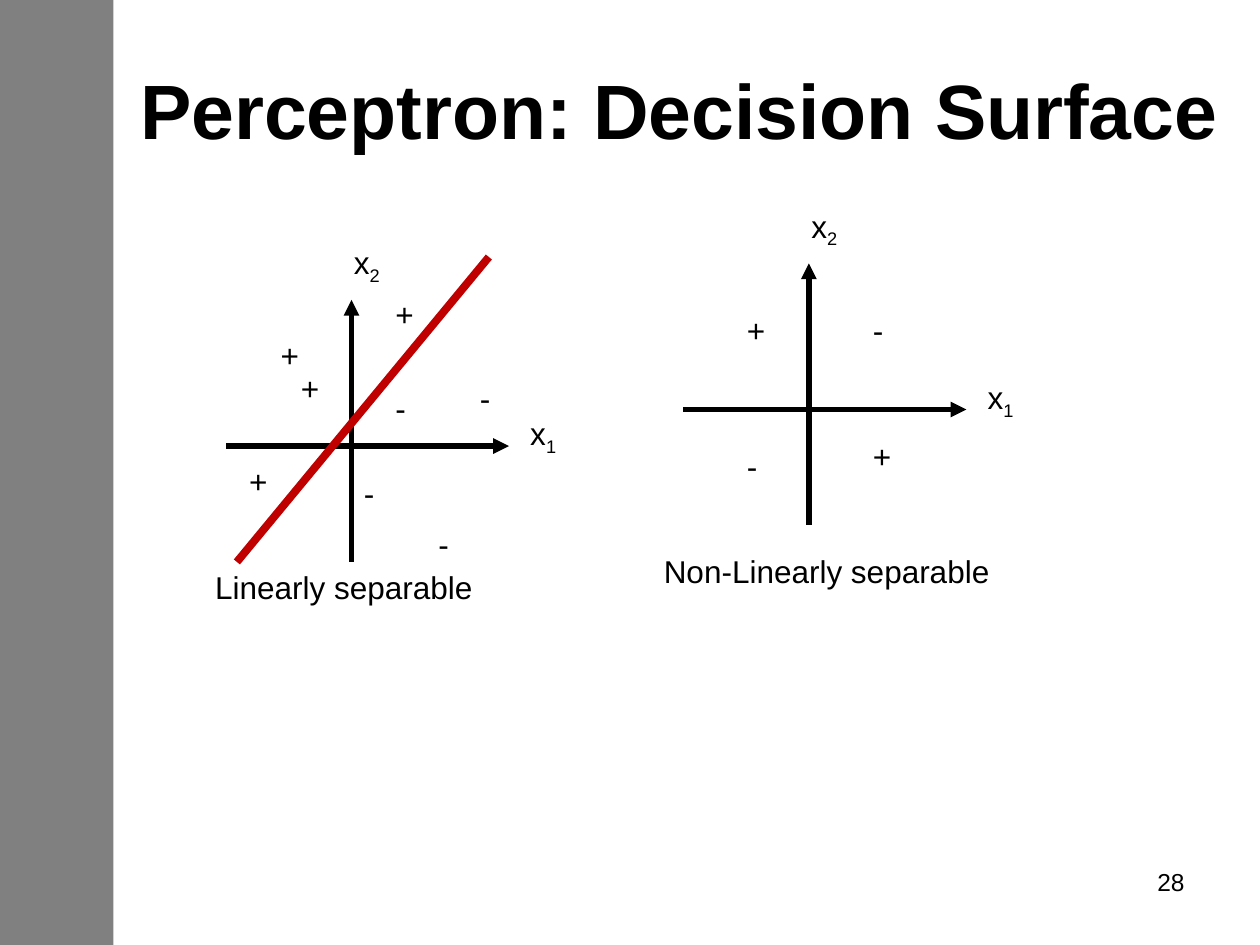
from dataclasses import dataclass

from lxml.etree import SubElement
from pptx import Presentation
from pptx.dml.color import RGBColor
from pptx.enum.shapes import MSO_CONNECTOR, MSO_SHAPE
from pptx.enum.text import MSO_ANCHOR, MSO_AUTO_SIZE, PP_ALIGN
from pptx.oxml.ns import qn
from pptx.util import Inches, Pt

FONT = "Arial"
BLACK = "000000"
GRAY = "808080"
RED = "C00000"
MARK_WIDTHS = {"+": 0.44, "-": 0.32}

Point = tuple[float, float]


@dataclass
class Caption:
    text: str
    position: Point
    size: Point


@dataclass
class Plot:
    origin: Point
    marks: dict[str, list[Point]]
    caption: Caption
    boundary: tuple[Point, Point] | None = None


PLOTS = [
    Plot(
        origin=(2.79, 3.54),
        marks={
            "+": [(3.04, 2.29), (2.29, 2.88), (2.13, 2.62), (1.88, 3.62)],
            "-": [(2.79, 3.71), (3.04, 3.04), (3.38, 4.12), (3.71, 2.96)],
        },
        caption=Caption("Linearly separable", (1.61, 4.46), (2.26, 0.4)),
        boundary=((1.88, 4.46), (3.88, 2.04)),
    ),
    Plot(
        origin=(6.42, 3.25),
        marks={
            "+": [(5.83, 2.42), (6.83, 3.42)],
            "-": [(5.83, 3.5), (6.83, 2.42)],
        },
        caption=Caption("Non-Linearly separable", (5.17, 4.33), (3.57, 0.5)),
    ),
]


def color(value: str) -> RGBColor:
    return RGBColor.from_string(value)


def format_run(run, size: float, bold: bool = False) -> None:
    run.font.name = FONT
    run.font.size = Pt(size)
    run.font.bold = bold
    run.font.color.rgb = color(BLACK)


def add_label(shapes, text: str, position: Point, size: Point, subscript: str = "") -> None:
    box = shapes.add_textbox(*map(Inches, position + size))
    text_frame = box.text_frame
    text_frame.text = text
    text_frame.word_wrap = False
    text_frame.auto_size = MSO_AUTO_SIZE.SHAPE_TO_FIT_TEXT
    paragraph = text_frame.paragraphs[0]
    if subscript:
        run = paragraph.add_run()
        run.text = subscript
        run.font._element.set("baseline", "-25000")
    for run in paragraph.runs:
        format_run(run, 18)


def add_line(shapes, start: Point, end: Point, line_color: str, width: float,
             arrow: bool = False) -> None:
    connector = shapes.add_connector(MSO_CONNECTOR.STRAIGHT, *map(Inches, start + end))
    connector.line.color.rgb = color(line_color)
    connector.line.width = Pt(width)
    if arrow:
        SubElement(connector.line._get_or_add_ln(), qn("a:headEnd"), type="triangle")
    SubElement(connector.element.spPr, qn("a:effectLst"))


def draw_plot(shapes, plot: Plot) -> None:
    x, y = plot.origin

    # Axes, with the arrowhead at the start
    add_line(shapes, (x, y - 1.16), (x, y + 0.92), BLACK, 3, arrow=True)
    add_line(shapes, (x + 1.25, y), (x - 1, y), BLACK, 3, arrow=True)

    # Positive and negative examples
    for mark, positions in plot.marks.items():
        for position in positions:
            add_label(shapes, mark, position, (MARK_WIDTHS[mark], 0.5))

    # Axis names
    add_label(shapes, "x", (x + 1.32, y - 0.3), (0.49, 0.5), subscript="1")
    add_label(shapes, "x", (x - 0.08, y - 1.66), (0.49, 0.5), subscript="2")

    if plot.boundary:
        add_line(shapes, *plot.boundary, RED, 4.5)


def main() -> None:
    presentation = Presentation()
    presentation.slide_width = Inches(10)
    presentation.slide_height = Inches(7.5)
    slide = presentation.slides.add_slide(presentation.slide_layouts[5])
    shapes = slide.shapes

    # Title
    title = shapes.title
    title.left, title.top = Inches(0.79), Inches(0.42)
    title.width, title.height = Inches(9.21), Inches(0.98)
    title.text_frame.text = "Perceptron: Decision Surface"
    title.text_frame.auto_size = MSO_AUTO_SIZE.NONE
    title.text_frame.vertical_anchor = MSO_ANCHOR.MIDDLE
    paragraph = title.text_frame.paragraphs[0]
    paragraph.alignment = PP_ALIGN.CENTER
    paragraph.line_spacing = 0.9
    format_run(paragraph.runs[0], 44, bold=True)

    # Sidebar, behind the title
    sidebar = shapes.add_shape(MSO_SHAPE.RECTANGLE, 0, 0, Inches(0.9), Inches(7.5))
    sidebar.shadow.inherit = False
    sidebar.fill.solid()
    sidebar.fill.fore_color.rgb = color(GRAY)
    sidebar.line.fill.background()
    title.element.addprevious(sidebar.element)

    # Slide number
    number = shapes.add_textbox(Inches(7.17), Inches(6.83), Inches(2.33), Inches(0.52))
    number.text_frame.text = "28"
    number.text_frame.word_wrap = True
    paragraph = number.text_frame.paragraphs[0]
    paragraph.alignment = PP_ALIGN.RIGHT
    format_run(paragraph.runs[0], 14)

    # Plots; the one with a boundary is grouped
    for plot in PLOTS:
        draw_plot(shapes.add_group_shape().shapes if plot.boundary else shapes, plot)
    for plot in PLOTS:
        add_label(shapes, plot.caption.text, plot.caption.position, plot.caption.size)

    presentation.save("out.pptx")


if __name__ == "__main__":
    main()
